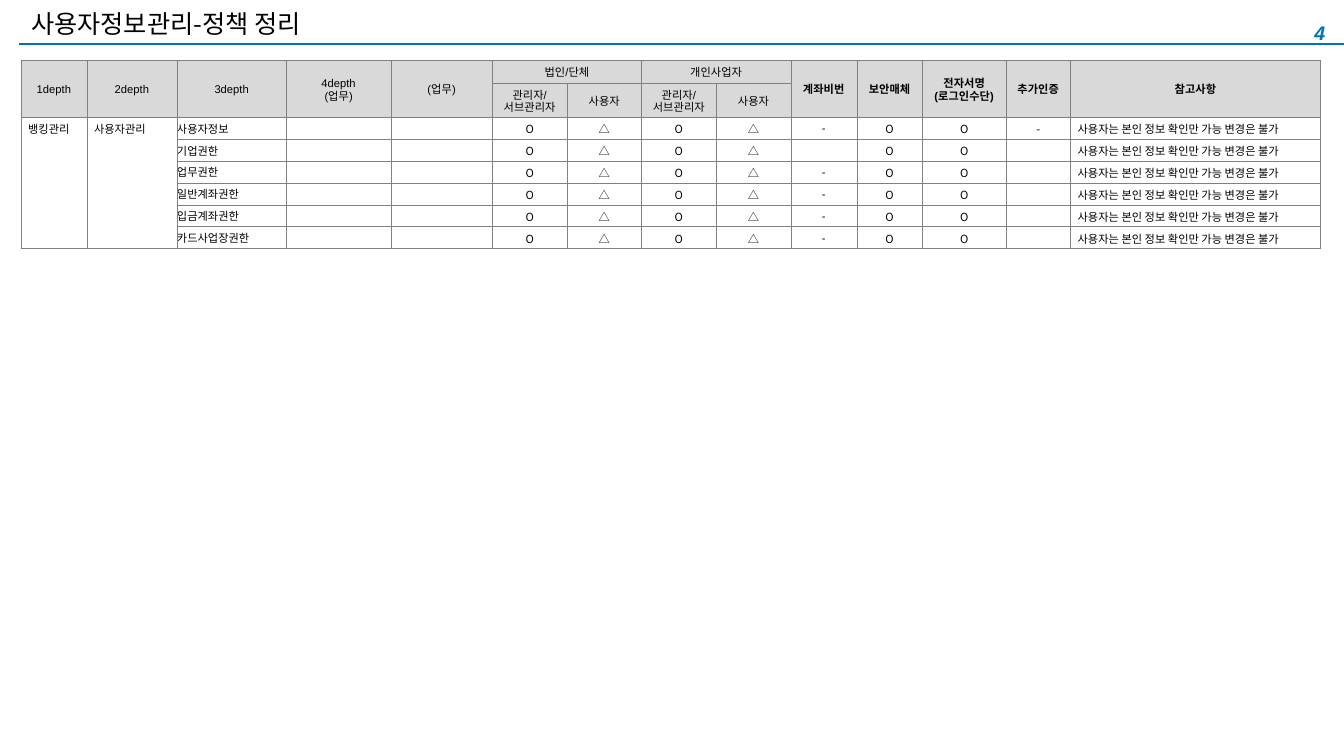
import dataclasses

import lxml.etree
import pptx
import pptx.dml.color
import pptx.enum.shapes
import pptx.enum.text
import pptx.oxml.ns
import pptx.util

Cm = pptx.util.Cm
Pt = pptx.util.Pt
RGB = pptx.dml.color.RGBColor
Align = pptx.enum.text.PP_ALIGN
Anchor = pptx.enum.text.MSO_ANCHOR
qn = pptx.oxml.ns.qn

BLACK = RGB(0x00, 0x00, 0x00)
WHITE = RGB(0xFF, 0xFF, 0xFF)
BLUE = RGB(0x00, 0x70, 0xC0)
GRAY = RGB(0xD9, 0xD9, 0xD9)
EDGE = RGB(0x80, 0x80, 0x80)
LATIN = "Arial"
HANGUL = "Noto Sans CJK KR"
SIZE = 8
WIDTHS = [1.66, 2.27, 2.76, 2.63, 2.56] + [1.88] * 4 + [1.66, 1.66, 2.1, 1.63, 6.3]
HEIGHTS = [0.58, 0.86] + [0.55] * 6
TOP = 2
NOTE = "사용자는 본인 정보 확인만 가능 변경은 불가"


@dataclasses.dataclass(frozen=True)
class Head:
    row: int
    col: int
    text: str
    rows: int = 1
    cols: int = 1
    bold: bool = False


@dataclasses.dataclass(frozen=True)
class Entry:
    name: str
    secret: str = "-"
    extra: str = ""


HEADS = [
    Head(0, 0, "1depth", rows=2),
    Head(0, 1, "2depth", rows=2),
    Head(0, 2, "3depth", rows=2),
    Head(0, 3, "4depth\n(업무)", rows=2),
    Head(0, 4, "(업무)", rows=2),
    Head(0, 5, "법인/단체", cols=2),
    Head(0, 7, "개인사업자", cols=2),
    Head(0, 9, "계좌비번", rows=2, bold=True),
    Head(0, 10, "보안매체", rows=2, bold=True),
    Head(0, 11, "전자서명\n(로그인수단)", rows=2, bold=True),
    Head(0, 12, "추가인증", rows=2, bold=True),
    Head(0, 13, "참고사항", rows=2, bold=True),
] + [
    Head(1, col + step, text)
    for col in (5, 7)
    for step, text in enumerate(("관리자/\n서브관리자", "사용자"))
]

ENTRIES = [
    Entry("사용자정보", extra="-"),
    Entry("기업권한", secret=""),
    Entry("업무권한"),
    Entry("일반계좌권한"),
    Entry("입금계좌권한"),
    Entry("카드사업장권한"),
]


def write(para, text: str, face: str, size: float, color: RGB = BLACK,
          bold: bool = False, slant: bool = False) -> None:
    run = para.add_run()
    run.text = text
    run.font.size = Pt(size)
    run.font.bold = bold
    run.font.italic = slant
    run.font.color.rgb = color
    run.font.name = face
    east = lxml.etree.SubElement(run._r.get_or_add_rPr(), qn("a:ea"))
    east.set("typeface", face)


def frame(cell, fill: RGB) -> None:
    props = cell._tc.get_or_add_tcPr()
    for side in ("lnL", "lnR", "lnT", "lnB"):
        line = lxml.etree.SubElement(props, qn(f"a:{side}"), w=str(Pt(0.25)))
        paint = lxml.etree.SubElement(line, qn("a:solidFill"))
        lxml.etree.SubElement(paint, qn("a:srgbClr"), val=str(EDGE))
    cell.fill.solid()
    cell.fill.fore_color.rgb = fill


def fill_cell(cell, text: str, face: str, align: Align = Align.CENTER,
              anchor: Anchor = Anchor.MIDDLE, side: float = 0.18,
              top: float = 0.08, base: float = 0.05, bold: bool = False) -> None:
    cell.margin_left = cell.margin_right = Cm(side)
    cell.margin_top, cell.margin_bottom = Cm(top), Cm(base)
    cell.vertical_anchor = anchor
    body = cell.text_frame
    for num, line in enumerate(text.split("\n")):
        para = body.add_paragraph() if num else body.paragraphs[0]
        para.alignment = align
        if line:
            write(para, line, face, SIZE, bold=bold)
        else:
            lxml.etree.SubElement(para._p, qn("a:endParaRPr"), sz=str(SIZE * 100))


def draw_top(slide) -> None:
    rule = slide.shapes.add_connector(
        pptx.enum.shapes.MSO_CONNECTOR.STRAIGHT, Cm(0.48), Cm(1.11), Cm(33.87), Cm(1.11))
    rule.line.color.rgb = BLUE
    rule.line.width = Pt(1)
    lxml.etree.SubElement(rule._element.spPr, qn("a:effectLst"))

    page = slide.shapes.add_textbox(Cm(32.74), Cm(0.51), Cm(0.66), Cm(0.61)).text_frame
    page.margin_left = page.margin_right = page.margin_top = page.margin_bottom = 0
    page.vertical_anchor = Anchor.MIDDLE
    page.word_wrap = False
    page.paragraphs[0].alignment = Align.RIGHT
    write(page.paragraphs[0], "4", LATIN, 14, BLUE, bold=True, slant=True)

    title = slide.shapes.title
    title.left, title.top, title.width, title.height = Cm(0.53), Cm(0.13), Cm(33.32), Cm(0.91)
    body = title.text_frame
    body.auto_size = pptx.enum.text.MSO_AUTO_SIZE.NONE
    body.word_wrap = True
    body.vertical_anchor = Anchor.MIDDLE
    body.paragraphs[0].alignment = Align.LEFT
    write(body.paragraphs[0], "사용자정보관리-정책 정리", HANGUL, 18)


def draw_grid(slide) -> None:
    grid = slide.shapes.add_table(
        len(HEIGHTS), len(WIDTHS), Cm(0.53), Cm(1.52), Cm(sum(WIDTHS)), Cm(sum(HEIGHTS))).table
    grid.first_row = grid.horz_banding = False
    for col, width in zip(grid.columns, WIDTHS):
        col.width = Cm(width)
    for row, height in zip(grid.rows, HEIGHTS):
        row.height = Cm(height)
    for row in range(len(HEIGHTS)):
        for col in range(len(WIDTHS)):
            frame(grid.cell(row, col), GRAY if row < TOP else WHITE)

    for head in HEADS:
        cell = grid.cell(head.row, head.col)
        if head.rows * head.cols > 1:
            cell.merge(grid.cell(head.row + head.rows - 1, head.col + head.cols - 1))
        fill_cell(cell, head.text, LATIN, top=0.05, base=0, bold=head.bold)

    for col, text in enumerate(("뱅킹관리", "사용자관리")):
        cell = grid.cell(TOP, col)
        cell.merge(grid.cell(len(HEIGHTS) - 1, col))
        fill_cell(cell, text, HANGUL, Align.LEFT, Anchor.TOP)

    for row, entry in enumerate(ENTRIES, TOP):
        fill_cell(grid.cell(row, 2), entry.name, HANGUL, Align.LEFT, side=0, top=0, base=0)
        marks = ["", "", "O", "△", "O", "△", entry.secret, "O", "O", entry.extra]
        for col, mark in enumerate(marks, 3):
            fill_cell(grid.cell(row, col), mark, LATIN if col == 9 else HANGUL)
        fill_cell(grid.cell(row, 13), NOTE, HANGUL, Align.LEFT)

    for cell in grid.iter_cells():
        if cell.is_spanned:
            fill_cell(cell, "", LATIN)


def main() -> None:
    deck = pptx.Presentation()
    deck.slide_width, deck.slide_height = Cm(33.87), Cm(19.05)
    slide = deck.slides.add_slide(deck.slide_layouts[5])
    draw_top(slide)
    draw_grid(slide)
    deck.save("out.pptx")


if __name__ == "__main__":
    main()
